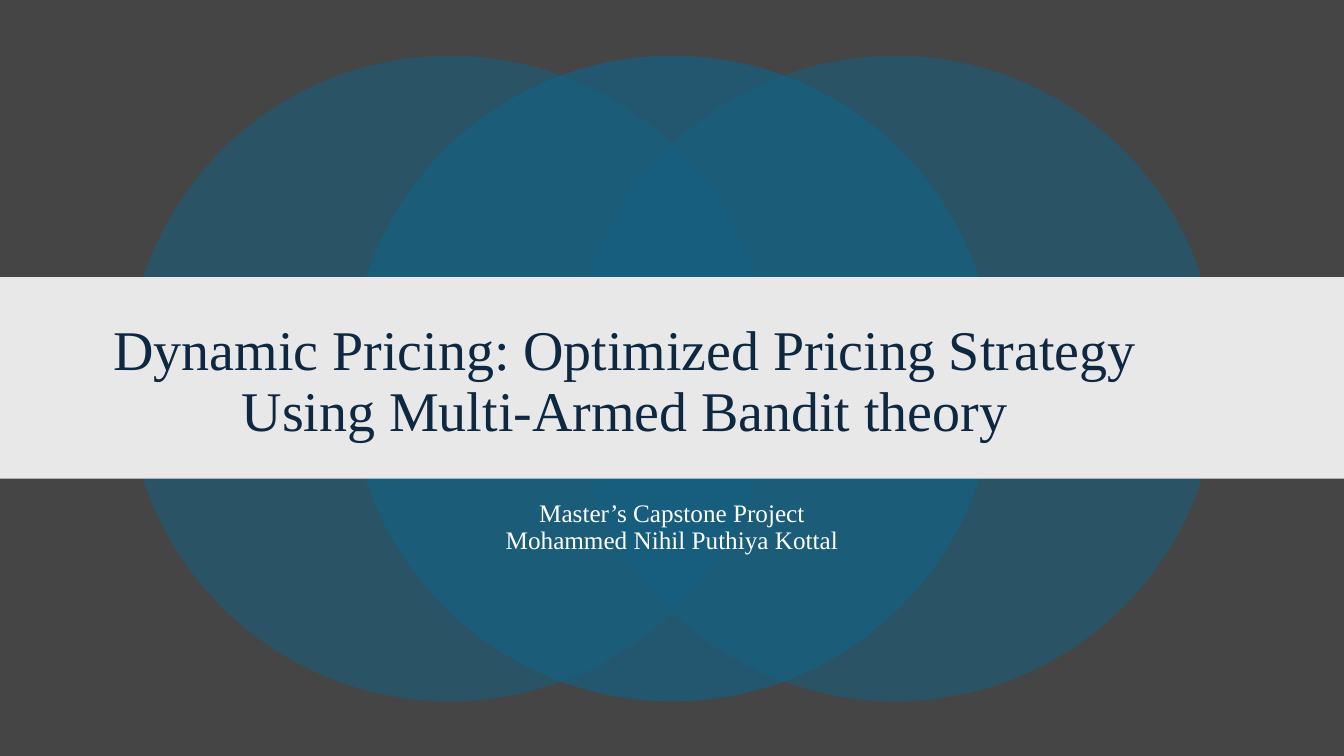
from lxml import etree
from pptx import Presentation
from pptx.dml.color import RGBColor
from pptx.enum.shapes import MSO_SHAPE
from pptx.enum.text import MSO_ANCHOR, PP_ALIGN
from pptx.oxml.ns import qn
from pptx.util import Emu, Pt

OVAL, RECT = MSO_SHAPE.OVAL, MSO_SHAPE.RECTANGLE
TOP, MIDDLE = MSO_ANCHOR.TOP, MSO_ANCHOR.MIDDLE
CENTER = PP_ALIGN.CENTER

CHARCOAL = RGBColor(0x45, 0x45, 0x45)
TEAL = RGBColor(0x15, 0x60, 0x82)
LIGHT = RGBColor(0xE8, 0xE8, 0xE8)
NAVY = RGBColor(0x0E, 0x28, 0x41)
WHITE = RGBColor(0xFF, 0xFF, 0xFF)

WIDTH, HEIGHT = 1280, 720
CIRCLE, CIRCLE_LEFT, CIRCLE_TOP, STEP = 615, 121, 53, 212


def px(*lengths):
    return [Emu(n * 9525) for n in lengths]


class Deck:
    """Hold the font, the presentation and the current slide."""

    def __init__(self, font, background):
        self.font = font
        self.prs = Presentation()
        self.prs.slide_width, self.prs.slide_height = px(WIDTH, HEIGHT)
        self.s = self.prs.slides.add_slide(self.prs.slide_layouts[6])
        fill = self.s.background.fill
        fill.solid()
        fill.fore_color.rgb = background

    def shape(self, kind, box, color, opacity=100):
        sp = self.s.shapes.add_shape(kind, *px(*box))
        sp.shadow.inherit = False
        sp.line.fill.background()
        sp.fill.solid()
        sp.fill.fore_color.rgb = color
        if opacity < 100:
            clr = sp.fill._xPr.find(".//" + qn("a:srgbClr"))
            etree.SubElement(clr, qn("a:alpha"), val=str(opacity * 1000))

    def text(self, box, text, size, color, anchor=TOP):
        tf = self.s.shapes.add_textbox(*px(*box)).text_frame
        tf.word_wrap = True
        tf.vertical_anchor = anchor
        p = tf.paragraphs[0]
        p.text = text
        p.alignment = CENTER
        p.line_spacing = 0.9
        p.font.name = self.font
        p.font.size = Pt(size)
        p.font.color.rgb = color


def main():
    deck = Deck("Times New Roman", CHARCOAL)
    for column, opacity in ((0, 55), (2, 55), (1, 70)):
        left = CIRCLE_LEFT + column * STEP
        deck.shape(OVAL, (left, CIRCLE_TOP, CIRCLE, CIRCLE), TEAL, opacity)
    deck.shape(RECT, (0, 264, WIDTH, 192), LIGHT)
    deck.text((71, 292, 1048, 145),
              "Dynamic Pricing: Optimized Pricing Strategy "
              "Using Multi-Armed Bandit theory", 40, NAVY, MIDDLE)
    deck.text((160, 472, 960, 80),
              "Master’s Capstone Project\nMohammed Nihil Puthiya Kottal",
              18, WHITE)
    deck.prs.save("out.pptx")


if __name__ == "__main__":
    main()
